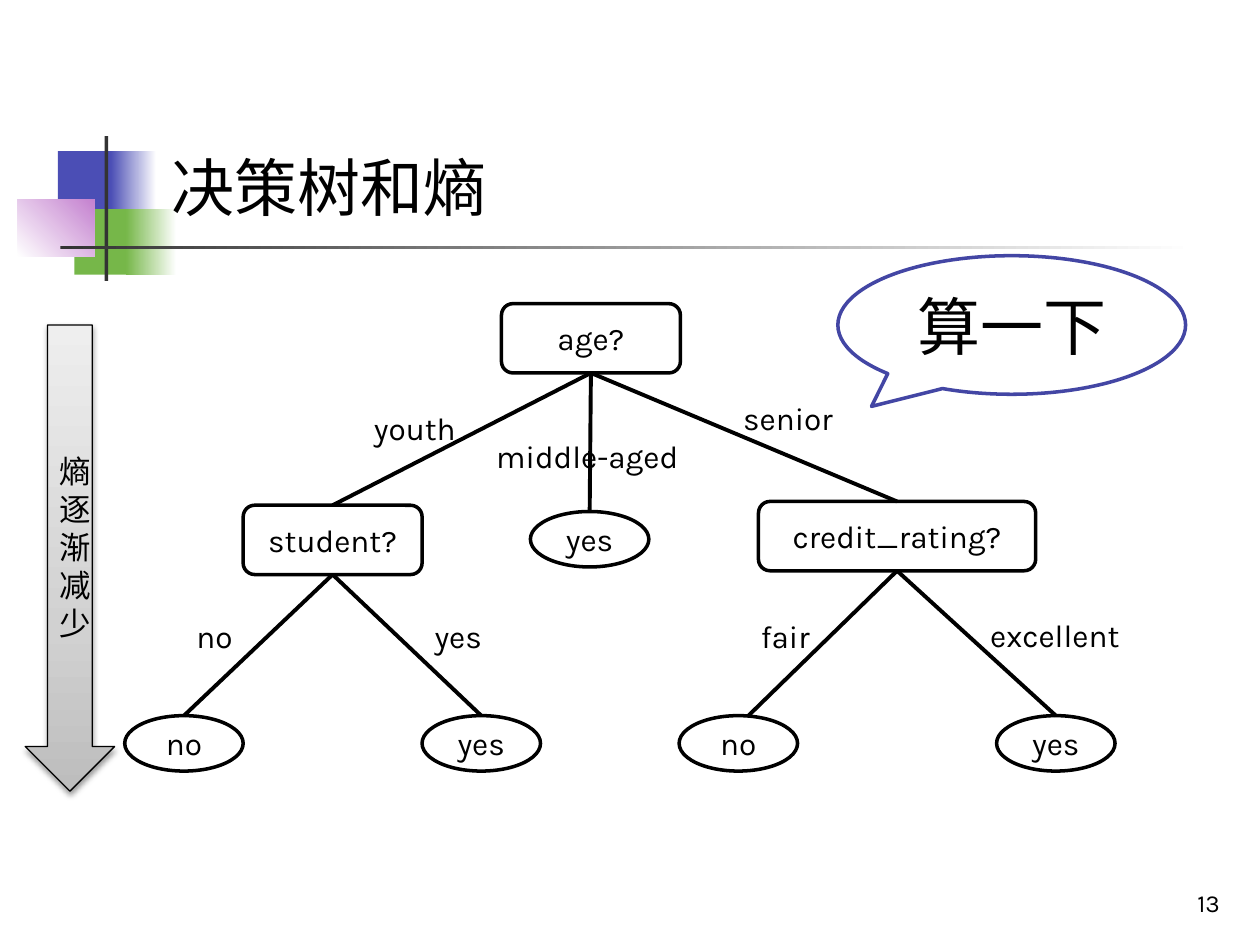
from copy import deepcopy
from dataclasses import dataclass

from lxml import etree
from pptx import Presentation
from pptx.dml.color import RGBColor
from pptx.enum.shapes import MSO_CONNECTOR, MSO_SHAPE
from pptx.enum.text import MSO_ANCHOR, PP_ALIGN
from pptx.oxml.ns import qn
from pptx.util import Inches, Pt

RECT, ROUND, OVAL = MSO_SHAPE.RECTANGLE, MSO_SHAPE.ROUNDED_RECTANGLE, MSO_SHAPE.OVAL
CALLOUT, DOWN = MSO_SHAPE.OVAL_CALLOUT, MSO_SHAPE.DOWN_ARROW
STRAIGHT = MSO_CONNECTOR.STRAIGHT
TOP, MIDDLE, BOTTOM = MSO_ANCHOR.TOP, MSO_ANCHOR.MIDDLE, MSO_ANCHOR.BOTTOM
LEFT, CENTER, RIGHT = PP_ALIGN.LEFT, PP_ALIGN.CENTER, PP_ALIGN.RIGHT
TOP_SITE, BOTTOM_SITE = 0, 2


@dataclass(frozen=True)
class Theme:
    """Colours, fonts and sizes of the slide."""
    black: str = "000000"
    white: str = "FFFFFF"
    dark: str = "333333"
    blue: str = "4B4EB5"
    green: str = "76B749"
    pink: str = "C481CF"
    callout: str = "4346A4"
    greys: tuple = ((0, "BDBDBD"), (0.35, "D1D1D1"), (1, "EEEEEE"))
    latin: str = "Karla"
    cjk: str = "Noto Sans CJK JP"
    title: int = 36
    body: int = 18
    number: int = 14
    outline: float = 2
    edge: float = 2.25


T = Theme()


def write(sp, text, size=T.body, font=T.latin, align=CENTER, anchor=MIDDLE):
    """Put one formatted paragraph in a shape."""
    tf = sp.text_frame
    tf.word_wrap = True
    tf.vertical_anchor = anchor
    p = tf.paragraphs[0]
    p.alignment = align
    r = p.add_run()
    r.text = text
    r.font.size = Pt(size)
    r.font.name = font
    r.font.color.rgb = RGBColor.from_string(T.black)
    etree.SubElement(r.font._element, qn("a:ea")).set("typeface", T.cjk)


def add_text(s, box, text, **fmt):
    """Add a text box."""
    write(s.shapes.add_textbox(*map(Inches, box)), text, **fmt)


def set_gradient(sp, stops, angle):
    """Fill a shape with a linear gradient, its angle counter-clockwise."""
    sp.fill.gradient()
    sp.fill.gradient_angle = angle
    gs_list = sp._element.spPr.find(".//" + qn("a:gsLst"))
    for _ in stops[2:]:
        gs_list.append(deepcopy(gs_list[-1]))
    for gs, (position, color) in zip(sp.fill.gradient_stops, stops):
        gs.position = position
        gs.color.rgb = RGBColor.from_string(color)


def add_shape(s, kind, box, fill=T.white, angle=0, line=None, width=T.outline):
    """Add a shape with a plain colour or a tuple of gradient stops."""
    sp = s.shapes.add_shape(kind, *map(Inches, box))
    sp.shadow.inherit = False
    if isinstance(fill, str):
        sp.fill.solid()
        sp.fill.fore_color.rgb = RGBColor.from_string(fill)
    else:
        set_gradient(sp, fill, angle)
    if line:
        sp.line.color.rgb = RGBColor.from_string(line)
        sp.line.width = Pt(width)
    else:
        sp.line.fill.background()
    return sp


def add_edge(s, parent, child, shift=0):
    """Join a parent's bottom to a child's top, or to a point beside its middle."""
    x = child.left + child.width // 2 + Inches(shift)
    c = s.shapes.add_connector(STRAIGHT, 0, 0, x, child.top)
    c.begin_connect(parent, BOTTOM_SITE)
    if not shift:
        c.end_connect(child, TOP_SITE)
    c.line.color.rgb = RGBColor.from_string(T.black)
    c.line.width = Pt(T.edge)
    etree.SubElement(c._element.spPr, qn("a:effectLst"))


def draw_motif(s, box):
    """Draw the coloured blocks and the two rules beside the title."""
    left, top, width, height = box
    for x, y, w, h, fill, angle in (
        (0.32, 0.12, 0.48, 0.52, T.blue, 0),
        (0.74, 0.12, 0.36, 0.52, ((0, T.blue), (1, T.white)), 0),
        (0.45, 0.58, 0.46, 0.52, T.green, 0),
        (0.86, 0.58, 0.4, 0.52, ((0, T.green), (1, T.white)), 0),
        (0, 0.5, 0.61, 0.46, ((0, T.white), (1, T.pink)), 45),
        (0.69, 0, 0.03, height, T.dark, 0),
        (0.34, 0.87, width - 0.34, 0.03, ((0, T.dark), (1, T.white)), 0),
    ):
        add_shape(s, RECT, (left + x, top + y, w, h), fill, angle)


def draw_tree(s, box):
    """Draw the decision tree: nodes, branch labels and edges."""
    left, top, width, height = box
    leaf_w, leaf_h, node_h, label_h = 0.94, 0.44, 0.55, 0.4
    leaf_y = height - leaf_h
    nodes = {}
    for key, text, x, y, w in (
        ("age", "age?", 2.99, 0, 1.42),
        ("student", "student?", 0.94, 1.6, 1.42),
        ("credit", "credit_rating?", 5.03, 1.57, 2.2),
        ("middle", "yes", 3.22, 1.65, leaf_w),
        ("student no", "no", 0, leaf_y, leaf_w),
        ("student yes", "yes", 2.36, leaf_y, leaf_w),
        ("fair", "no", 4.4, leaf_y, leaf_w),
        ("excellent", "yes", width - leaf_w, leaf_y, leaf_w),
    ):
        kind, h = (OVAL, leaf_h) if w == leaf_w else (ROUND, node_h)
        nodes[key] = add_shape(s, kind, (left + x, top + y, w, h), line=T.black)
        write(nodes[key], text)
    branches = (
        ("age", "student", "youth", 1.88, 0.79, 1.1, 0),
        ("age", "middle", "middle-aged", 2.85, 1.01, 1.87, 0),
        ("age", "credit", "senior", 4.81, 0.71, 1.87, 0),
        ("student", "student no", "no", 0.47, 2.44, 0.71, 0),
        ("student", "student yes", "yes", 2.36, 2.44, 0.71, 0),
        ("credit", "fair", "fair", 4.95, 2.44, 0.71, 0.08),
        ("credit", "excellent", "excellent", 6.77, 2.43, 1.5, 0),
    )
    for parent, child, label, x, y, w, shift in branches:
        add_text(s, (left + x, top + y, w, label_h), label, align=LEFT, anchor=TOP)
        add_edge(s, nodes[parent], nodes[child], shift)


def draw_callout(s, box):
    """Draw the speech bubble."""
    sp = add_shape(s, CALLOUT, box, line=T.callout)
    sp.adjustments[0], sp.adjustments[1] = -0.403, 0.587
    write(sp, "算一下", size=T.title, font=T.cjk)


def draw_entropy_arrow(s, box):
    """Draw the shaded arrow that shows falling entropy."""
    sp = add_shape(s, DOWN, box, T.greys, 90, T.black, 0.75)
    effects = sp._element.spPr.find(qn("a:effectLst"))
    shadow = etree.SubElement(effects, qn("a:outerShdw"), blurRad=str(Pt(3.1)),
                              dist=str(Pt(1.6)), dir="5400000", rotWithShape="0")
    color = etree.SubElement(shadow, qn("a:srgbClr"), val=T.black)
    etree.SubElement(color, qn("a:alpha"), val="38000")
    write(sp, "熵逐渐减少", font=T.cjk)


def main():
    """Build and save the slide."""
    prs = Presentation()
    prs.slide_width, prs.slide_height = Inches(10), Inches(7.5)
    s = prs.slides.add_slide(prs.slide_layouts[6])
    draw_motif(s, (0.14, 1.08, 9.34, 1.15))
    add_text(s, (1.26, 0.23, 8.52, 1.6), "决策树和熵", size=T.title, align=LEFT, anchor=BOTTOM)
    add_text(s, (7.7, 6.83, 2.08, 0.5), "13", size=T.number, align=RIGHT, anchor=BOTTOM)
    draw_tree(s, (0.99, 2.41, 7.86, 3.71))
    draw_callout(s, (6.65, 2.03, 2.76, 1.1))
    draw_entropy_arrow(s, (0.2, 2.58, 0.71, 3.7))
    prs.save("out.pptx")


if __name__ == "__main__":
    main()
